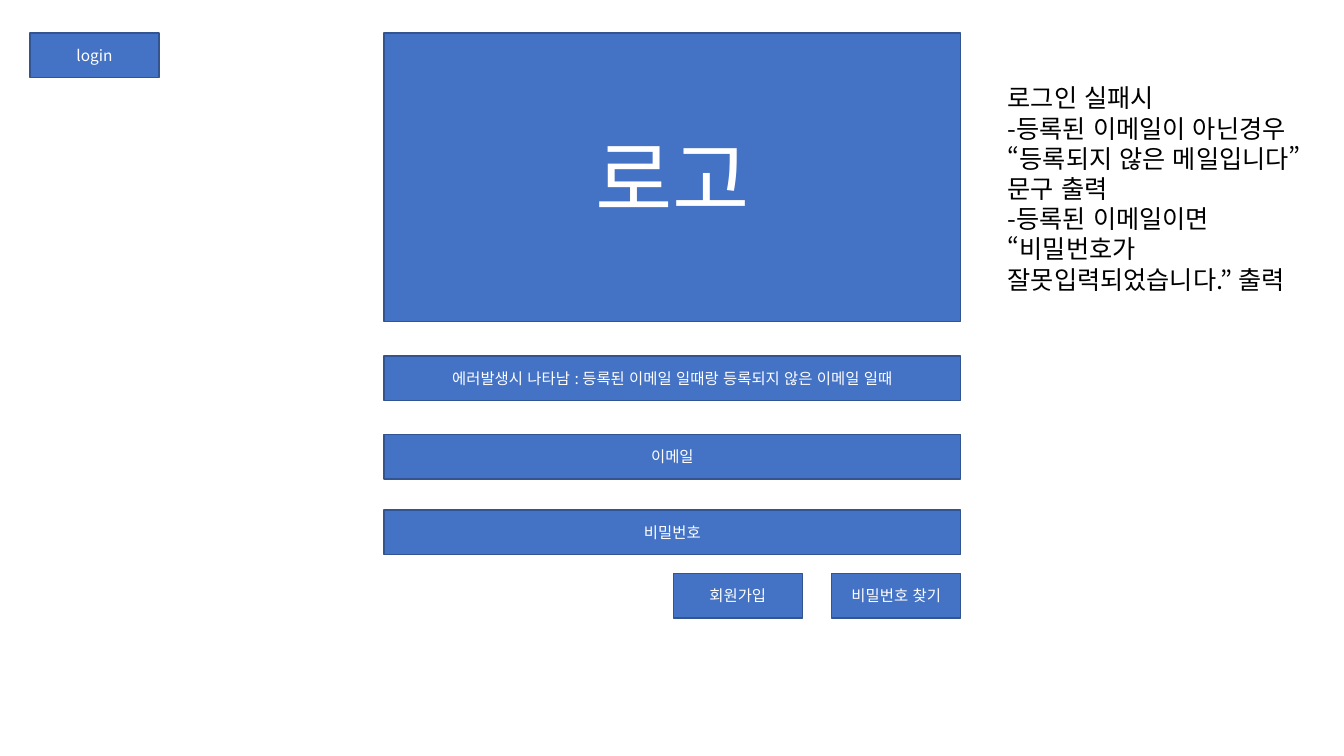
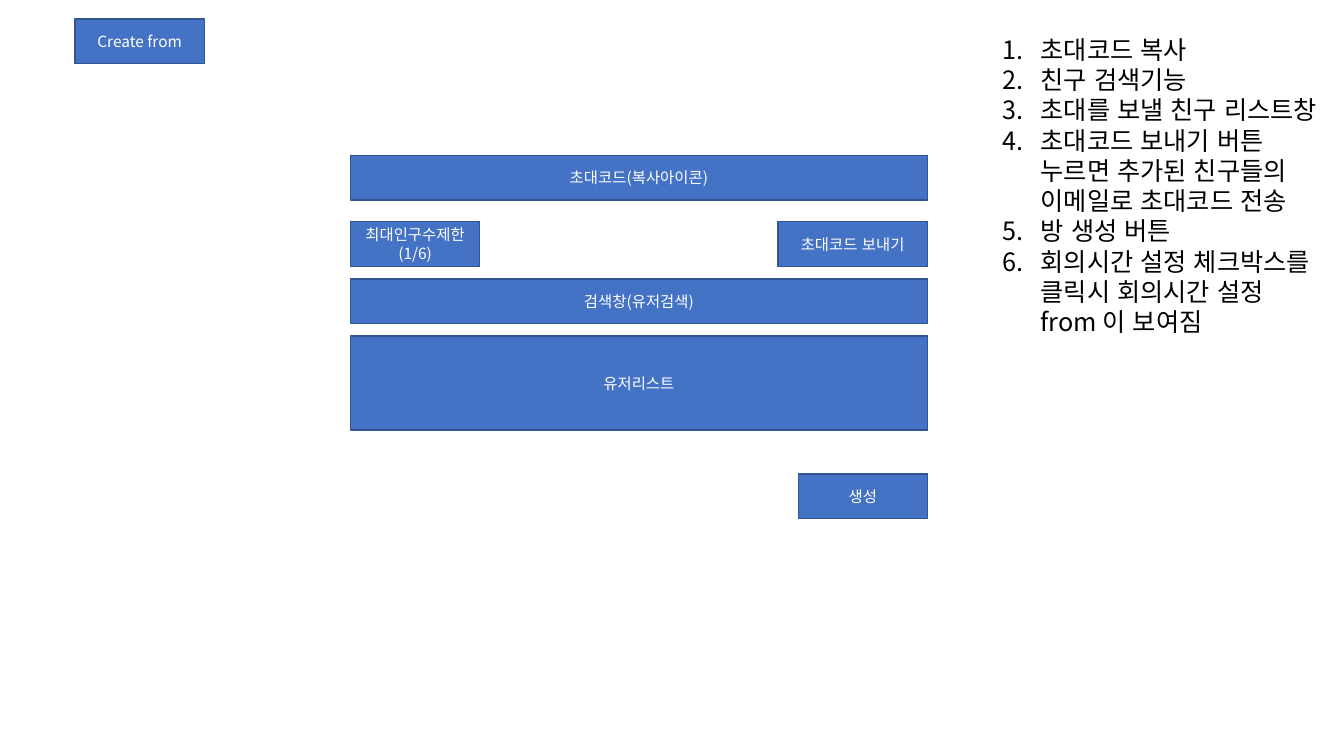
from dataclasses import dataclass

from lxml.etree import SubElement
from pptx import Presentation
from pptx.dml.color import RGBColor
from pptx.enum.lang import MSO_LANGUAGE_ID as Language
from pptx.enum.shapes import MSO_SHAPE as Shape
from pptx.enum.text import MSO_ANCHOR as Anchor, MSO_AUTO_SIZE as AutoSize, PP_ALIGN as Align
from pptx.oxml.ns import qn
from pptx.util import Pt

# Shared style
BLUE = RGBColor(0x44, 0x72, 0xC4)
BLUE_EDGE = RGBColor(0x32, 0x54, 0x91)
WHITE = RGBColor(0xFF, 0xFF, 0xFF)
BLACK = RGBColor(0x00, 0x00, 0x00)
FONT = "Noto Sans CJK KR"
LINE_RATIO = 1.2
NUMBER_INDENT = 27

# Shared sizes, in points
FORM_WIDTH = 412
BUTTON_WIDTH = 92.2
SEND_WIDTH = 106.6
ROW_HEIGHT = 31.8


@dataclass(frozen=True)
class Box:
    text: str
    left: float
    top: float
    width: float = FORM_WIDTH
    height: float = ROW_HEIGHT
    size: float = 11


@dataclass(frozen=True)
class Notes:
    lines: tuple[str, ...]
    left: float
    top: float
    width: float
    height: float
    numbered: bool = False


@dataclass(frozen=True)
class Page:
    label: Box
    boxes: tuple[Box, ...]
    notes: Notes


def place(shape, area: Box | Notes) -> None:
    shape.left, shape.top = Pt(area.left), Pt(area.top)
    shape.width, shape.height = Pt(area.width), Pt(area.height)


def write(shape, text: str, *, size: float = 11, color: RGBColor = WHITE,
          align: Align = Align.CENTER, anchor: Anchor = Anchor.MIDDLE) -> None:
    """Fill a shape with one paragraph per line of text."""
    frame = shape.text_frame
    frame.text = text
    frame.word_wrap = True
    frame.auto_size = AutoSize.NONE
    frame.vertical_anchor = anchor
    for para in frame.paragraphs:
        para.alignment = align
        para.line_spacing = Pt(size * LINE_RATIO)
        para.space_before = para.space_after = Pt(0)
        for span in para.runs:
            font = span.font
            font.name, font.size, font.bold = FONT, Pt(size), False
            font.color.rgb = color
            font.language_id = Language.KOREAN
            SubElement(span._r.get_or_add_rPr(), qn("a:ea"), typeface=FONT)


def set_bullet(para, numbered: bool) -> None:
    indent = NUMBER_INDENT if numbered else 0
    props = para._p.get_or_add_pPr()
    props.set("marL", str(Pt(indent)))
    props.set("indent", str(-Pt(indent)))
    if numbered:
        SubElement(props, qn("a:buFont"), typeface=FONT)
        SubElement(props, qn("a:buAutoNum"), type="arabicPeriod")
    else:
        SubElement(props, qn("a:buNone"))


def draw_box(shape, box: Box) -> None:
    place(shape, box)
    shape.fill.solid()
    shape.fill.fore_color.rgb = BLUE
    shape.line.color.rgb = BLUE_EDGE
    shape.line.width = Pt(1)
    write(shape, box.text, size=box.size)


def draw_notes(shape, notes: Notes) -> None:
    place(shape, notes)
    write(shape, "\n".join(notes.lines), size=18, color=BLACK,
          align=Align.LEFT, anchor=Anchor.TOP)
    for para in shape.text_frame.paragraphs:
        set_bullet(para, notes.numbered)


def draw_page(deck, page: Page) -> None:
    slide = deck.slides.add_slide(deck.slide_layouts[1])
    draw_box(slide.shapes.title, page.label)
    for box in page.boxes:
        shape = slide.shapes.add_shape(Shape.RECTANGLE, 0, 0, 0, 0)
        shape.shadow.inherit = False
        draw_box(shape, box)
    draw_notes(slide.placeholders[1], page.notes)


def login_page() -> Page:
    left, top, button_top, gap = 274.3, 23.6, 409.7, 21
    find_left = left + FORM_WIDTH - BUTTON_WIDTH
    join_left = find_left - gap - BUTTON_WIDTH
    return Page(
        label=Box("login", 21.4, top, BUTTON_WIDTH),
        boxes=(
            Box("로고", left, top, height=206, size=60),
            Box("에러발생시 나타남 : 등록된 이메일 일때랑 등록되지 않은 이메일 일때", left, 254.2),
            Box("이메일", left, 310.4),
            Box("비밀번호", left, 364.2),
            Box("회원가입", join_left, button_top, BUTTON_WIDTH),
            Box("비밀번호 찾기", find_left, button_top, BUTTON_WIDTH),
        ),
        notes=Notes((
            "로그인 실패시",
            "-등록된 이메일이 아닌경우",
            "“등록되지 않은 메일입니다” 문구 출력",
            "-등록된 이메일이면",
            "“비밀번호가 잘못입력되었습니다.” 출력",
        ), 712.6, 55.4, 225.4, 181.4),
    )


def create_page() -> Page:
    left, limit_top = 250.4, 158.4
    right = left + FORM_WIDTH
    return Page(
        label=Box("Create from", 53.7, 13.6, BUTTON_WIDTH),
        boxes=(
            Box("초대코드(복사아이콘)", left, 111),
            Box("최대인구수제한\n(1/6)", left, limit_top, BUTTON_WIDTH),
            Box("초대코드 보내기", right - SEND_WIDTH, limit_top, SEND_WIDTH),
            Box("검색창(유저검색)", left, 199.2),
            Box("유저리스트", left, 240, height=67.2),
            Box("생성", right - BUTTON_WIDTH, 338.5, BUTTON_WIDTH),
        ),
        notes=Notes((
            "초대코드 복사",
            "친구 검색기능",
            "초대를 보낼 친구 리스트창",
            "초대코드 보내기 버튼 누르면 추가된 친구들의 이메일로 초대코드 전송",
            "방 생성 버튼",
            "회의시간 설정 체크박스를 클릭시 회의시간 설정 from 이 보여짐",
        ), 709.2, 20.9, 242.6, 247, numbered=True),
    )


def main() -> None:
    deck = Presentation()
    deck.slide_width, deck.slide_height = Pt(960), Pt(540)
    for page in (login_page(), create_page()):
        draw_page(deck, page)
    deck.save("out.pptx")


if __name__ == "__main__":
    main()
